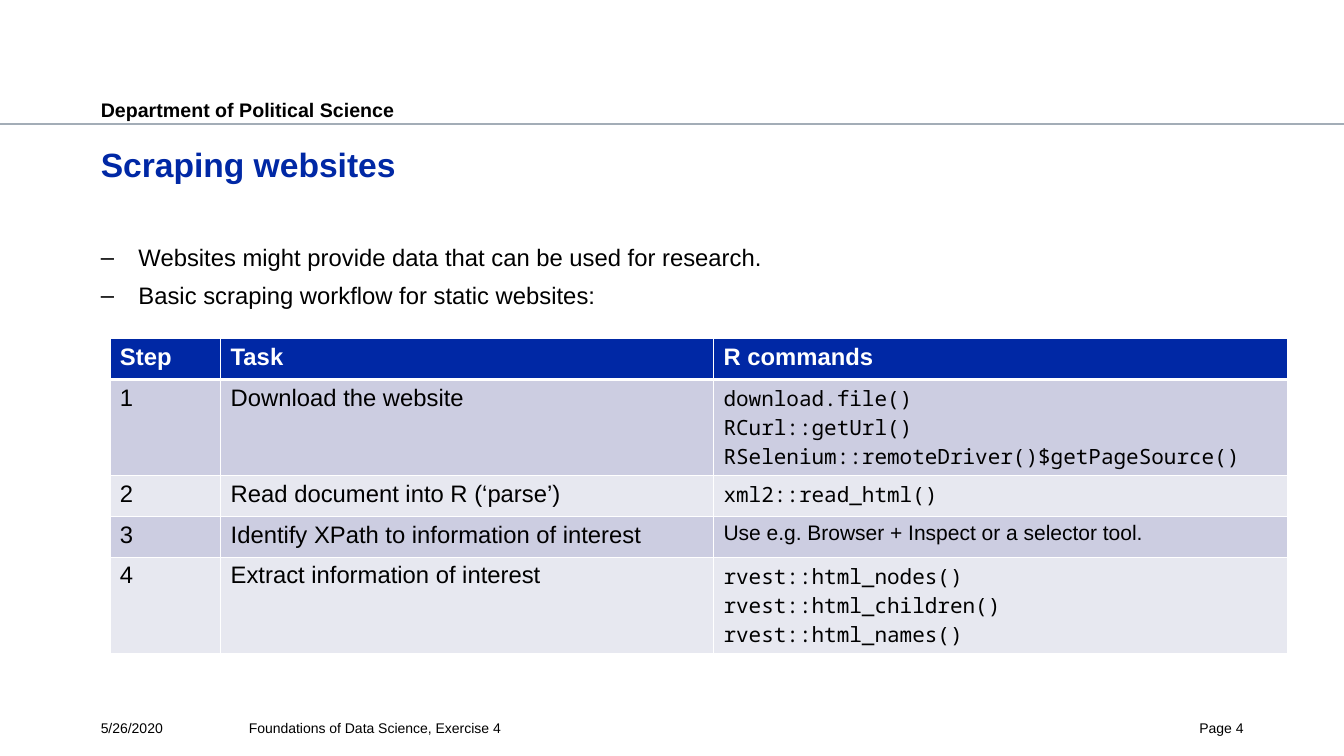
from collections import namedtuple
from copy import deepcopy

from lxml import etree
from pptx import Presentation
from pptx.dml.color import RGBColor
from pptx.enum.shapes import MSO_CONNECTOR
from pptx.enum.text import MSO_ANCHOR, PP_ALIGN
from pptx.oxml.ns import qn
from pptx.util import Cm, Pt

LINE = MSO_CONNECTOR.STRAIGHT
TOP = MSO_ANCHOR.TOP
LEFT, RIGHT = PP_ALIGN.LEFT, PP_ALIGN.RIGHT

COLORS = {
    "text": "000000",
    "white": "FFFFFF",
    "blue": "0028A5",
    "rule": "A3ADB7",
    "band_dark": "CCCDE1",
    "band_light": "E7E8F0",
}
SANS, MONO = "Arial", "Noto Sans Mono"
PAGE_WIDTH, PAGE_HEIGHT = 33.87, 19.05
MARGIN, CONTENT_WIDTH = 2.54, 28.8
ROW_HEIGHT, TALL_ROW_HEIGHT = 1.03, 2.42
COLUMN_WIDTHS = [2.79, 12.42, 14.48]

Box = namedtuple("Box", "left top width height")

BULLETS = [
    "Websites might provide data that can be used for research.",
    "Basic scraping workflow for static websites:",
]
HEADINGS = ["Step", "Task", "R commands"]
STEPS = [
    ("Download the website", MONO,
     "download.file()\nRCurl::getUrl()\nRSelenium::remoteDriver()$getPageSource()"),
    ("Read document into R (‘parse’)", MONO, "xml2::read_html()"),
    ("Identify XPath to information of interest", SANS,
     "Use e.g. Browser + Inspect or a selector tool."),
    ("Extract information of interest", MONO,
     "rvest::html_nodes()\nrvest::html_children()\nrvest::html_names()"),
]


def rgb(name):
    return RGBColor.from_string(COLORS[name])


def write(para, text, size=17, font=SANS, color="text", bold=False, align=LEFT, before=0):
    para.text = text
    para.alignment = align
    para.space_before = Pt(before)
    for span in para.runs:
        span.font.size = Pt(size)
        span.font.name = font
        span.font.bold = bold
        span.font.color.rgb = rgb(color)
    for line_break in para._p.findall(qn("a:br")):
        line_break.append(deepcopy(para.runs[0]._r.rPr))


def add_text(page, box, text, inset=0, **style):
    shape = page.shapes.add_textbox(*map(Cm, box))
    frame = shape.text_frame
    frame.word_wrap = True
    frame.vertical_anchor = TOP
    frame.margin_left = frame.margin_right = frame.margin_bottom = 0
    frame.margin_top = Cm(inset)
    write(frame.paragraphs[0], text, **style)
    return frame


def add_dash(para, indent):
    props = para._p.get_or_add_pPr()
    props.set("marL", str(Cm(indent)))
    props.set("indent", str(-Cm(indent)))
    etree.SubElement(props, qn("a:buFont"), typeface=SANS)
    etree.SubElement(props, qn("a:buChar"), char="–")


def set_borders(cell, top=1, bottom=1):
    props = cell._tc.get_or_add_tcPr()
    widths = {"lnL": 1, "lnR": 1, "lnT": top, "lnB": bottom}
    for place, (side, width) in enumerate(widths.items()):
        border = etree.Element(qn("a:" + side), w=str(Pt(width)))
        fill = etree.SubElement(border, qn("a:solidFill"))
        etree.SubElement(fill, qn("a:srgbClr"), val=COLORS["white"])
        props.insert(place, border)


def add_header(page, box):
    bottom = Cm(box.top + box.height)
    rule = page.shapes.add_connector(LINE, Cm(box.left), bottom, Cm(box.left + box.width), bottom)
    rule.line.color.rgb = rgb("rule")
    rule.line.width = Pt(1.25)
    etree.SubElement(rule._element.spPr, qn("a:effectLst"))
    label = Box(box.left + MARGIN, box.top, 20.37, 0.64)
    add_text(page, label, "Department of Political Science", inset=0.1, size=14, bold=True)


def add_content(page, box):
    title = box._replace(height=2.21)
    add_text(page, title, "Scraping websites", inset=0.1, size=24, color="blue", bold=True)
    body = box._replace(top=box.top + 2.59, height=box.height - 2.59)
    frame = add_text(page, body, BULLETS[0])
    for text in BULLETS[1:]:
        write(frame.add_paragraph(), text, before=6.8)
    for para in frame.paragraphs:
        add_dash(para, 0.95)


def add_steps_table(page, box):
    rows = [[(text, {"color": "white", "bold": True}) for text in HEADINGS]]
    for number, (task, font, commands) in enumerate(STEPS, 1):
        rows.append([(str(number), {}), (task, {}), (commands, {"size": 15, "font": font})])
    table = page.shapes.add_table(len(rows), len(HEADINGS), *map(Cm, box)).table
    table.horz_banding = False
    for column, width in zip(table.columns, COLUMN_WIDTHS):
        column.width = Cm(width)
    for r, row in enumerate(rows):
        tall = "\n" in row[-1][0]
        table.rows[r].height = Cm(TALL_ROW_HEIGHT if tall else ROW_HEIGHT)
        fill = "blue" if r == 0 else "band_dark" if r % 2 else "band_light"
        for c, (text, style) in enumerate(row):
            cell = table.cell(r, c)
            cell.fill.solid()
            cell.fill.fore_color.rgb = rgb(fill)
            set_borders(cell, top=3 if r == 1 else 1, bottom=3 if r == 0 else 1)
            write(cell.text_frame.paragraphs[0], text, **style)


def add_footer(page, box):
    parts = [
        (0, 3.45, "5/26/2020", LEFT),
        (3.73, 19.46, "Foundations of Data Science, Exercise 4", LEFT),
        (box.width - 2.31, 2.31, "Page 4", RIGHT),
    ]
    for offset, width, text, align in parts:
        part = box._replace(left=box.left + offset, width=width)
        add_text(page, part, text, size=10, align=align)


deck = Presentation()
deck.slide_width, deck.slide_height = Cm(PAGE_WIDTH), Cm(PAGE_HEIGHT)
page = deck.slides.add_slide(deck.slide_layouts[6])
add_header(page, Box(0, 2.36, PAGE_WIDTH, 0.76))
add_content(page, Box(MARGIN, 3.53, CONTENT_WIDTH, 13.39))
add_steps_table(page, Box(2.77, 8.53, sum(COLUMN_WIDTHS), 3 * ROW_HEIGHT + 2 * TALL_ROW_HEIGHT))
add_footer(page, Box(MARGIN, 18.14, CONTENT_WIDTH, 0.61))
deck.save("out.pptx")
